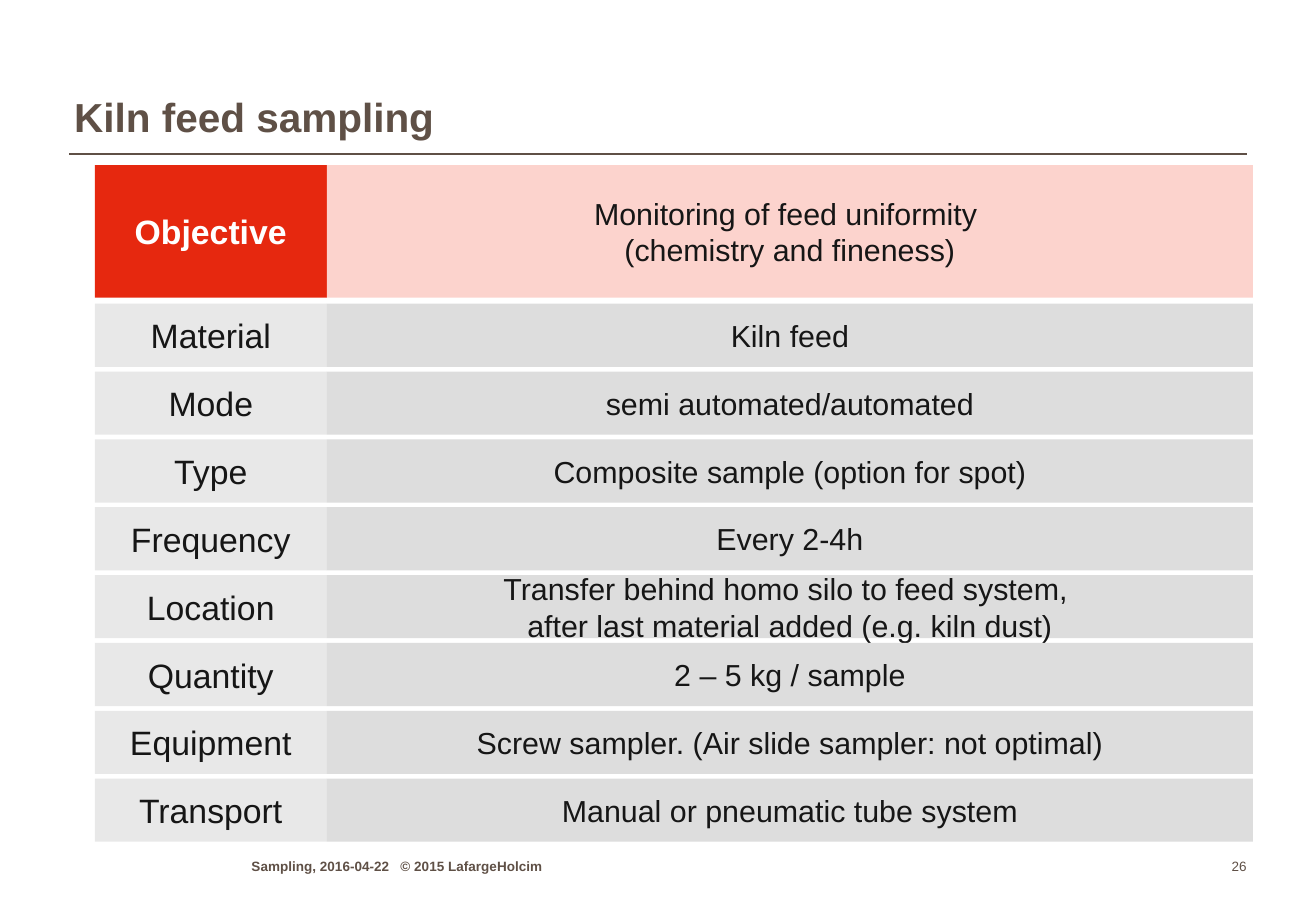
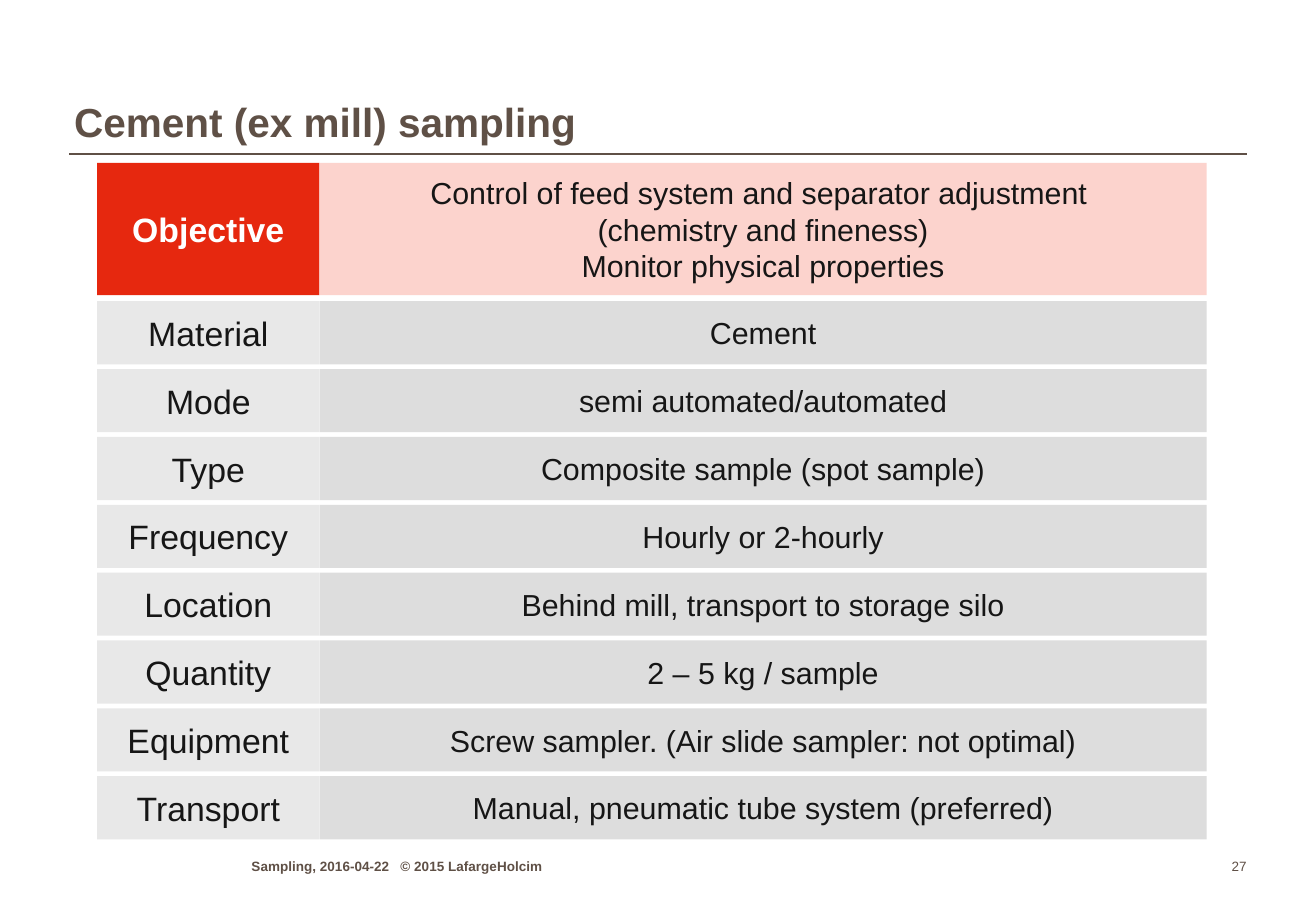
"""Build two sampling overview slides with grouped label and value cells."""
from lxml.etree import SubElement
from pptx import Presentation
from pptx.dml.color import RGBColor
from pptx.enum.shapes import MSO_CONNECTOR as Connector, MSO_SHAPE as Shape
from pptx.enum.text import MSO_ANCHOR as Anchor, MSO_AUTO_SIZE as AutoSize, PP_ALIGN as Align
from pptx.oxml.ns import qn
from pptx.util import Inches, Pt

COLORS = {
    "brown": "5F5046", "red": "E6280F", "pink": "FCD3CD", "light": "E8E8E8",
    "grey": "DDDDDD", "text": "161616", "white": "FFFFFF",
}
FONT = "Arial"
FOOTER = "Sampling, 2016-04-22   © 2015 LafargeHolcim"
LABELS = ["Objective", "Material", "Mode", "Type", "Frequency",
          "Location", "Quantity", "Equipment", "Transport"]
SLIDES = [
    {
        "title": "Kiln feed sampling", "number": 26, "title_top": 0.31,
        "left": 0.78, "top": 1.36, "widths": (1.91, 7.62),
        "values": [
            "Monitoring of feed uniformity \v(chemistry and fineness)",
            "Kiln feed",
            "semi automated/automated",
            "Composite sample (option for spot)",
            "Every 2-4h",
            "Transfer behind homo silo to feed system, \vafter last material added (e.g. kiln dust)",
            "2 – 5 kg / sample",
            "Screw sampler. (Air slide sampler: not optimal)",
            "Manual or pneumatic tube system",
        ],
    },
    {
        "title": "Cement (ex mill) sampling", "number": 27, "title_top": 0.35,
        "left": 0.8, "top": 1.34, "widths": (1.83, 7.3),
        "values": [
            "Control of feed system and separator adjustment \v(chemistry and fineness)\vMonitor physical properties",
            "Cement",
            "semi automated/automated",
            "Composite sample (spot sample)",
            "Hourly or 2-hourly",
            "Behind mill, transport to storage silo",
            "2 – 5 kg / sample",
            "Screw sampler. (Air slide sampler: not optimal)",
            "Manual, pneumatic tube system (preferred)",
        ],
    },
]
GRID_HEIGHT, OBJECTIVE_HEIGHT, ROW_HEIGHT, FIRST_ROW = 5.57, 1.09, 0.52, 1.14
ROW_PITCH = (GRID_HEIGHT - FIRST_ROW - ROW_HEIGHT) / (len(LABELS) - 2)


def color(name):
    return RGBColor.from_string(COLORS[name])


def write(shape, text, size, ink, bold=False, align=Align.LEFT,
          anchor=Anchor.BOTTOM, wrap=True, insets=(0, 0, 0, 0)):
    frame = shape.text_frame
    frame.text = text
    frame.auto_size = AutoSize.NONE
    frame.word_wrap = wrap
    frame.vertical_anchor = anchor
    (frame.margin_left, frame.margin_top,
     frame.margin_right, frame.margin_bottom) = map(Inches, insets)
    for paragraph in frame.paragraphs:
        paragraph.alignment = align
        for run in paragraph.runs:
            run.font.name, run.font.size, run.font.bold = FONT, Pt(size), bold
            run.font.color.rgb = color(ink)


def add_cell(group, box, text, fill, size, ink="text", bold=False):
    cell = group.shapes.add_shape(Shape.RECTANGLE, *map(Inches, box))
    cell.shadow.inherit = False
    cell.fill.solid()
    cell.fill.fore_color.rgb = color(fill)
    cell.line.fill.background()
    write(cell, text, size, ink, bold, Align.CENTER, Anchor.MIDDLE, False,
          (0.1, 0.05, 0.1, 0.05))


def add_frame(slide, content):
    rule = slide.shapes.add_connector(
        Connector.STRAIGHT, *map(Inches, (0.57, 1.27, 10.26, 1.27)))
    rule.line.color.rgb = color("brown")
    rule.line.width = Pt(1)
    SubElement(rule.element.spPr, qn("a:effectLst"))

    title = slide.shapes.title
    title.left, title.top, title.width, title.height = map(
        Inches, (0.61, content["title_top"], 9.6, 0.87))
    write(title, content["title"], 24, "brown", True, insets=(0, 0, 0, 0.01))
    title.text_frame.paragraphs[0].line_spacing = 0.95

    footer = slide.shapes.add_textbox(*map(Inches, (2.07, 7.02, 3.47, 0.18)))
    write(footer, FOOTER, 8, "brown", True)
    number = slide.shapes.add_textbox(*map(Inches, (9.79, 7.02, 0.47, 0.18)))
    write(number, str(content["number"]), 8, "brown", align=Align.RIGHT)


def add_grid(slide, content):
    group = slide.shapes.add_group_shape()
    left, (label_width, value_width) = content["left"], content["widths"]
    for row, (label, value) in enumerate(zip(LABELS, content["values"])):
        objective = row == 0
        offset = 0 if objective else FIRST_ROW + (row - 1) * ROW_PITCH
        top = content["top"] + offset
        height = OBJECTIVE_HEIGHT if objective else ROW_HEIGHT
        add_cell(group, (left, top, label_width, height), label,
                 "red" if objective else "light", 20,
                 "white" if objective else "text", objective)
        add_cell(group, (left + label_width, top, value_width, height), value,
                 "pink" if objective else "grey", 18)


def main():
    presentation = Presentation()
    presentation.slide_width = Inches(10.83)
    presentation.slide_height = Inches(7.5)
    for content in SLIDES:
        slide = presentation.slides.add_slide(presentation.slide_layouts[5])
        add_frame(slide, content)
        add_grid(slide, content)
    presentation.save("out.pptx")


if __name__ == "__main__":
    main()
